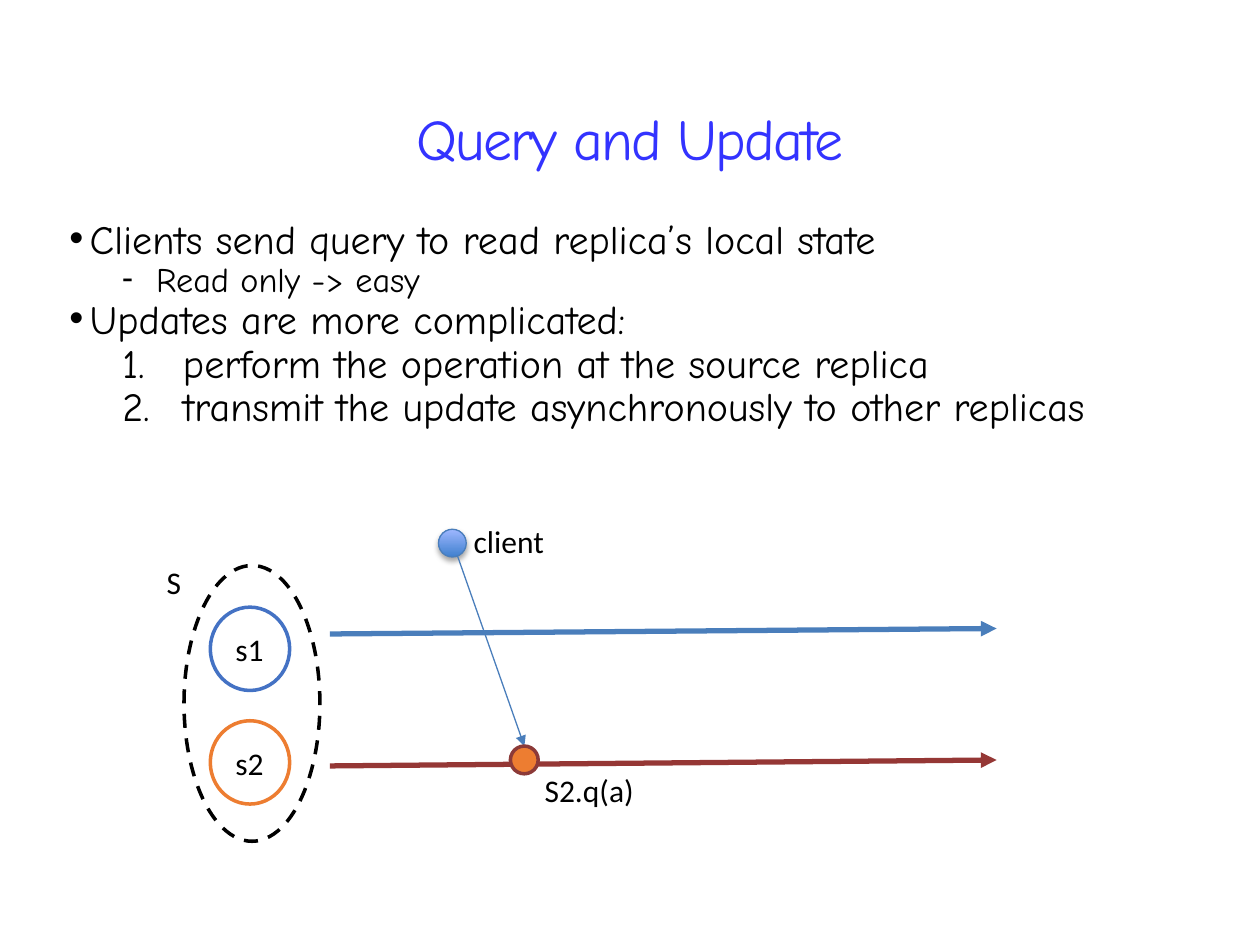
import pptx
import pptx.util
import pptx.dml.color
import pptx.enum.dml
import pptx.enum.shapes
import pptx.enum.text
import pptx.oxml
import pptx.oxml.ns
from lxml import etree

Cm, Pt = pptx.util.Cm, pptx.util.Pt
RGB = pptx.dml.color.RGBColor
ALIGN = pptx.enum.text.PP_ALIGN
ANCHOR = pptx.enum.text.MSO_ANCHOR
FIT = pptx.enum.text.MSO_AUTO_SIZE
OVAL = pptx.enum.shapes.MSO_SHAPE.OVAL
LINE = pptx.enum.shapes.MSO_CONNECTOR.STRAIGHT
DASH = pptx.enum.dml.MSO_LINE.DASH
qn = pptx.oxml.ns.qn

BLACK = RGB(0x00, 0x00, 0x00)
WHITE = RGB(0xFF, 0xFF, 0xFF)
TITLE = RGB(0x33, 0x33, 0xFF)
BLUE = RGB(0x44, 0x72, 0xC4)
ORANGE = RGB(0xED, 0x7D, 0x31)
STEEL = RGB(0x4A, 0x7E, 0xBB)
MAROON = RGB(0x95, 0x37, 0x35)
RUST = RGB(0x8C, 0x3A, 0x38)
DEEP = RGB(0x3F, 0x80, 0xCE)
PALE = RGB(0x9E, 0xB7, 0xFF)
HAND, SANS = "Comic Neue", "Calibri"

# Content: kind, text
HEAD = "Query and Update"
POINTS = [
    ("dot", "Clients send query to read replica’s local state"),
    ("dash", "Read only -> easy"),
    ("dot", "Updates are more complicated:"),
    ("num", "perform the operation at the source replica"),
    ("num", "transmit the update asynchronously to other replicas"),
]
# Kind: level, left margin, hanging indent, size, space before, bullet
KINDS = {
    "dot": (0, 0.41, 0.41, 22.9, 5, ("a:buChar", "char", "•")),
    "dash": (1, 1.75, 0.69, 19.6, 4, ("a:buChar", "char", "-")),
    "num": (1, 2.29, 1.22, 22.9, 5, ("a:buAutoNum", "type", "arabicPeriod")),
}
# Replicas: name, top, colour
NODES = [("s1", 12.24, BLUE), ("s2", 14.53, ORANGE)]
# Arrows: from x, y, to x, y, colour, width
TIMES = [
    (6.65, 12.78, 20.09, 12.67, STEEL, 3),
    (6.65, 15.44, 20.09, 15.32, MAROON, 3),
]
CALL = (9.22, 11.2, 10.57, 15.04, STEEL, 0.75)
# Labels: text, left, top, width
GROUP = ("S", 3.23, 11.23, 0.69)
CLIENT = ("client", 9.42, 10.39, 1.8)
QUERY = ("S2.q(a)", 10.85, 15.42, 2.36)
DOT = 0.56

deck = pptx.Presentation()
deck.slide_width, deck.slide_height = Cm(25.4), Cm(19.05)
slide = deck.slides.add_slide(deck.slide_layouts[5])
shapes = slide.shapes


def add(node, tag, **attrs):
    child = etree.SubElement(node, qn(tag))
    for key, val in attrs.items():
        child.set(key, val)
    return child


def setup(frame, anchor=ANCHOR.TOP, wrap=True, fit=FIT.NONE):
    frame.word_wrap, frame.auto_size = wrap, fit
    frame.vertical_anchor = anchor
    frame.margin_left = frame.margin_right = Cm(0.13)
    frame.margin_top = frame.margin_bottom = Cm(0.13)


def write(para, text, size, face, color=BLACK):
    run = para.add_run()
    run.text = text
    font = run.font
    font.size, font.name, font.color.rgb = Pt(size), face, color
    return run


def label(text, x, y, w, mid=False):
    frame = shapes.add_textbox(Cm(x), Cm(y), Cm(w), Cm(1.04)).text_frame
    setup(frame, ANCHOR.MIDDLE if mid else ANCHOR.TOP, mid, FIT.SHAPE_TO_FIT_TEXT)
    para = frame.paragraphs[0]
    para.alignment = ALIGN.CENTER if mid else ALIGN.LEFT
    write(para, text, 18, SANS)


def oval(x, y, w, h, fill, line, width=2):
    item = shapes.add_shape(OVAL, Cm(x), Cm(y), Cm(w), Cm(h))
    item.shadow.inherit = False
    item.fill.solid()
    item.fill.fore_color.rgb = fill
    item.line.color.rgb, item.line.width = line, Pt(width)
    return item


def arrow(x1, y1, x2, y2, color, width):
    item = shapes.add_connector(LINE, Cm(x1), Cm(y1), Cm(x2), Cm(y2))
    item.line.color.rgb, item.line.width = color, Pt(width)
    add(item.line._get_or_add_ln(), "a:tailEnd", type="triangle")
    add(item._element.spPr, "a:effectLst")


# Title
title = shapes.title
title.left, title.top = Cm(1.75), Cm(1.02)
title.width, title.height = Cm(21.9), Cm(3.68)
setup(title.text_frame, ANCHOR.MIDDLE)
para = title.text_frame.paragraphs[0]
para.alignment, para.line_spacing = ALIGN.CENTER, 0.9
run = write(para, HEAD, 33, HAND, TITLE)
run.font._element.set("spc", "-100")

# Bullet list
frame = shapes.add_textbox(Cm(1.27), Cm(4.45), Cm(22.86), Cm(5.87)).text_frame
setup(frame)
for i, (kind, text) in enumerate(POINTS):
    level, left, hang, size, gap, (tag, key, mark) = KINDS[kind]
    para = frame.add_paragraph() if i else frame.paragraphs[0]
    para.level, para.line_spacing, para.space_before = level, 0.72, Pt(gap)
    props = para._p.get_or_add_pPr()
    props.set("marL", str(Cm(left)))
    props.set("indent", str(-Cm(hang)))
    add(props, "a:buFont", typeface=HAND if kind == "num" else "Arial")
    add(props, tag, **{key: mark})
    write(para, text, size, HAND)

# Replica group
oval(3.71, 11.4, 2.74, 5.56, WHITE, BLACK).line.dash_style = DASH
for name, top, color in NODES:
    oval(4.24, top, 1.6, 1.68, WHITE, color)
    label(name, 4.47, top + 0.33, 1.12, mid=True)
for time in TIMES:
    arrow(*time)
label(*GROUP)

# Client with gradient and soft shadow
client = oval(8.84, 10.67, DOT, DOT, PALE, STEEL, 0.75)
client.fill.gradient()
client.fill.gradient_angle = 90
for stop, color in zip(client.fill.gradient_stops, (DEEP, PALE)):
    stop.color.rgb = color
glow = add(client._element.spPr.find(qn("a:effectLst")), "a:outerShdw",
           blurRad=str(Pt(3)), dist=str(Pt(1.8)), dir="5400000", rotWithShape="0")
add(add(glow, "a:srgbClr", val=str(BLACK)), "a:alpha", val="35000")
label(*CLIENT)

# Query reaching the second replica
arrow(*CALL)
oval(10.29, 15.04, DOT, DOT, ORANGE, RUST)
label(*QUERY)

deck.save("out.pptx")
